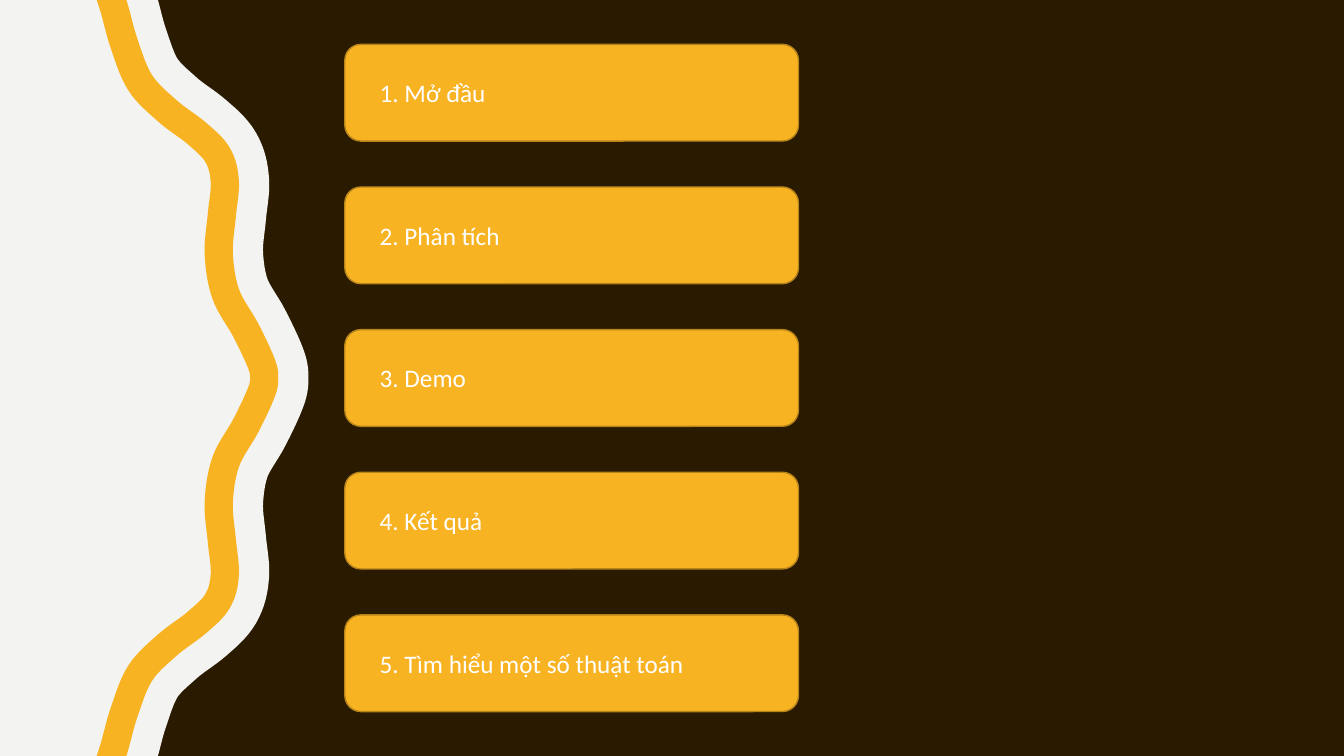
from dataclasses import dataclass
from math import hypot

from pptx import Presentation
from pptx.dml.color import RGBColor
from pptx.enum.shapes import MSO_SHAPE
from pptx.util import Inches, Pt

ROUND = MSO_SHAPE.ROUNDED_RECTANGLE


@dataclass(frozen=True)
class Theme:
    dark: str = "2A1A00"
    pale: str = "F3F3F2"
    gold: str = "F8B323"
    edge: str = "B7841A"
    white: str = "FFFFFF"
    font: str = "Calibri"
    size: int = 18


THEME = Theme()
WIDE, HIGH = 13.33, 7.5
TOPICS = ["Mở đầu", "Phân tích", "Demo", "Kết quả", "Tìm hiểu một số thuật toán"]

SPINE = [
    (0.98, -0.35), (1.12, 0.04), (1.23, 0.43), (1.39, 0.82), (1.66, 1.1),
    (1.96, 1.33), (2.16, 1.54), (2.23, 1.8), (2.2, 2.14), (2.17, 2.52),
    (2.24, 2.92), (2.44, 3.28), (2.59, 3.6), (2.62, 3.75),
]
BAND = 0.14
SHORE = 0.44
STEPS = 8


def color(code):
    return RGBColor.from_string(code)


def paint(shape, fill, line=None):
    shape.shadow.inherit = False
    shape.fill.solid()
    shape.fill.fore_color.rgb = color(fill)
    if line:
        shape.line.color.rgb = color(line)
        shape.line.width = Pt(1)
    else:
        shape.line.fill.background()


def write(slide, text, box, size=THEME.size, tint=THEME.white, font=THEME.font):
    frame = slide.shapes.add_textbox(*map(Inches, box)).text_frame
    frame.word_wrap = True
    run = frame.paragraphs[0].add_run()
    run.text = text
    run.font.size = Pt(size)
    run.font.name = font
    run.font.color.rgb = color(tint)


def flip(points):
    return [(x, HIGH - y) for x, y in reversed(points)]


def blend(a, b, c, d, t):
    bend = 2 * a - 5 * b + 4 * c - d
    twist = 3 * b - a - 3 * c + d
    place = b + ((c - a) * t + bend * t**2 + twist * t**3) / 2
    slope = (c - a + 2 * bend * t + 3 * twist * t**2) / 2
    return place, slope


def shift(knots, gap):
    ring = knots[:1] + knots + flip(knots)[1:2]
    points = []
    for part in zip(ring, ring[1:], ring[2:], ring[3:]):
        xs, ys = zip(*part)
        last = part[2] == knots[-1]
        for i in range(STEPS + last):
            x, dx = blend(*xs, i / STEPS)
            y, dy = blend(*ys, i / STEPS)
            size = hypot(dx, dy)
            points.append((x + gap * dy / size, y - gap * dx / size))
    return points


def clip(points):
    first = next(i for i, (_, y) in enumerate(points) if y > 0)
    (x0, y0), (x1, y1) = points[first - 1:first + 1]
    start = x0 - y0 * (x1 - x0) / (y1 - y0)
    return [(start, 0)] + points[first:]


def wave(gap):
    half = clip(shift(SPINE, gap))
    return half + flip(half)[1:]


def outline(slide, points, box, fill):
    left, top, _, high = box
    unit = high / HIGH
    spots = [(Inches(left + x * unit), Inches(top + y * unit)) for x, y in points]
    pen = slide.shapes.build_freeform(*spots[0])
    pen.add_line_segments(spots[1:], close=True)
    paint(pen.convert_to_shape(), fill)


def coast(slide, box):
    outline(slide, [(0, 0)] + wave(SHORE) + [(0, HIGH)], box, THEME.pale)
    outline(slide, wave(BAND) + wave(-BAND)[::-1], box, THEME.gold)


def agenda(slide, box, topics):
    left, top, wide, high = box
    card = high * 0.145
    step = (high - card) / (len(topics) - 1)
    rows = [top + step * i for i in range(len(topics))]
    for y in rows:
        area = map(Inches, (left, y, wide, card))
        paint(slide.shapes.add_shape(ROUND, *area), THEME.gold, THEME.edge)
    for i, (y, topic) in enumerate(zip(rows, topics), 1):
        area = (left + wide * 0.055, y + card * 0.29, wide * 0.745, card * 0.42)
        write(slide, f"{i}. {topic}", area)


def main():
    deck = Presentation()
    deck.slide_width, deck.slide_height = Inches(WIDE), Inches(HIGH)
    slide = deck.slides.add_slide(deck.slide_layouts[6])
    slide.background.fill.solid()
    slide.background.fill.fore_color.rgb = color(THEME.dark)
    coast(slide, (0, 0, WIDE * 0.23, HIGH))
    agenda(slide, (3.42, 0.44, 4.5, 6.62), TOPICS)
    deck.save("out.pptx")


if __name__ == "__main__":
    main()
